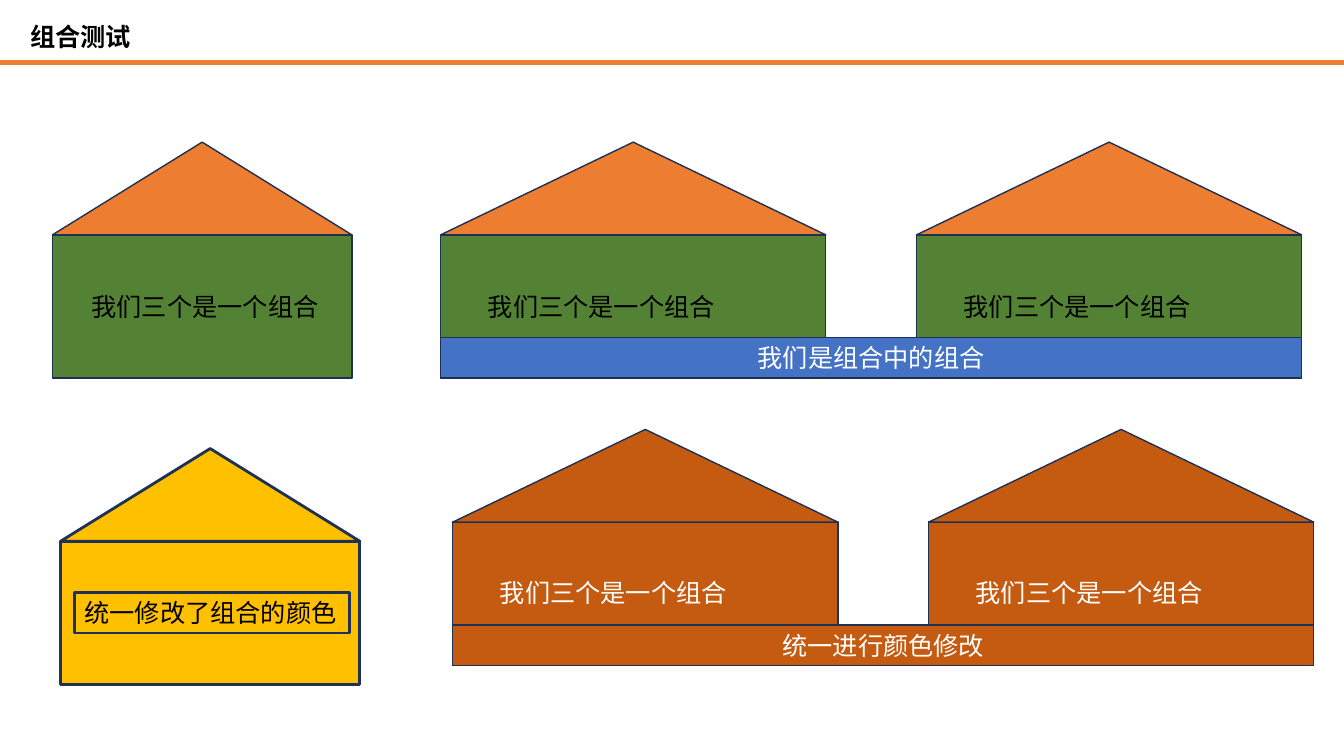
"""Build a slide of grouped houses, recoloured as whole groups."""
from dataclasses import dataclass
from typing import Any, Optional

from lxml import etree
from pptx import Presentation, util as u
from pptx.dml.color import RGBColor
from pptx.enum import shapes as es, text as et
from pptx.oxml import ns

BLACK = RGBColor(0x00, 0x00, 0x00)
WHITE = RGBColor(0xFF, 0xFF, 0xFF)
ORANGE = RGBColor(0xED, 0x7D, 0x31)
GREEN = RGBColor(0x54, 0x82, 0x35)
BLUE = RGBColor(0x44, 0x72, 0xC4)
YELLOW = RGBColor(0xFF, 0xC0, 0x00)
RUST = RGBColor(0xC5, 0x5A, 0x11)
NAVY = RGBColor(0x1D, 0x31, 0x55)
INK = RGBColor(0x1E, 0x32, 0x56)

FONT = "Noto Sans CJK SC"
TRIO = "我们三个是一个组合"
ROOF_H, WALL_H, BAR_H = 0.92, 1.42, 0.4
HOUSE_STEP = 4.72
LABEL_FRAME = {"word_wrap": False, "auto_size": et.MSO_AUTO_SIZE.SHAPE_TO_FIT_TEXT}
BAR_FRAME = {"word_wrap": True, "vertical_anchor": et.MSO_ANCHOR.MIDDLE}


@dataclass(frozen=True)
class Box:
    """Position and size in inches."""
    x: float
    y: float
    w: float
    h: float

    def lengths(self) -> list[u.Length]:
        """Return the four values as lengths."""
        return [u.Inches(v) for v in (self.x, self.y, self.w, self.h)]


@dataclass(frozen=True)
class Group:
    """One group: a house, or two houses on a shared bar."""
    x: float
    y: float
    w: float
    label: str
    label_dx: float
    label_dy: float
    label_w: float
    wall: RGBColor
    roof: RGBColor
    ink: RGBColor = BLACK
    label_fill: Optional[RGBColor] = None
    label_line: Optional[RGBColor] = None
    line: RGBColor = NAVY
    line_w: float = 1
    bar: str = ""
    bar_fill: Optional[RGBColor] = None


GROUPS = [
    Group(0.52, 1.41, 2.97, TRIO, 0.29, 1.43, 2.55, GREEN, ORANGE),
    Group(4.37, 1.41, 3.82, TRIO, 0.37, 1.43, 3.27, GREEN, ORANGE,
          bar="我们是组合中的组合", bar_fill=BLUE),
    Group(0.6, 4.45, 2.97, "统一修改了组合的颜色", 0.14, 1.43, 2.73, YELLOW, YELLOW,
          label_fill=YELLOW, label_line=INK, line=INK, line_w=2),
    Group(4.49, 4.26, 3.82, TRIO, 0.37, 1.42, 3.27, RUST, RUST, ink=WHITE,
          label_fill=RUST, bar="统一进行颜色修改", bar_fill=RUST),
]


def set_all(target: Any, values: dict[str, Any]) -> None:
    """Set each named attribute on the target."""
    for name, value in values.items():
        setattr(target, name, value)


def write(s: Any, text: str, color: RGBColor, frame: dict[str, Any],
          bold: Optional[bool] = None,
          align: et.PP_ALIGN = et.PP_ALIGN.LEFT) -> None:
    """Write one formatted line of text into a shape."""
    tf = s.text_frame
    set_all(tf, frame)
    p = tf.paragraphs[0]
    p.alignment = align
    r = p.add_run()
    r.text = text
    set_all(r.font, {"name": FONT, "size": u.Pt(18), "bold": bold})
    r.font.color.rgb = color
    ea = etree.SubElement(r.font._element, ns.qn("a:ea"))
    ea.set("typeface", FONT)


def outline(s: Any, color: RGBColor, width: float) -> None:
    """Give a shape or line its stroke."""
    s.line.color.rgb = color
    s.line.width = u.Pt(width)


def add_solid(parent: Any, kind: es.MSO_SHAPE, box: Box, fill: RGBColor,
              line: RGBColor, width: float) -> Any:
    """Add a filled and outlined preset shape."""
    s = parent.add_shape(kind, *box.lengths())
    s.shadow.inherit = False
    s.fill.solid()
    s.fill.fore_color.rgb = fill
    outline(s, line, width)
    return s


def add_house(parent: Any, g: Group, x: float) -> None:
    """Add wall, roof and label of one house."""
    wall = Box(x, g.y + ROOF_H, g.w, WALL_H)
    roof = Box(x, g.y, g.w, ROOF_H)
    add_solid(parent, es.MSO_SHAPE.RECTANGLE, wall, g.wall, g.line, g.line_w)
    add_solid(parent, es.MSO_SHAPE.ISOSCELES_TRIANGLE, roof, g.roof, g.line, g.line_w)
    box = Box(x + g.label_dx, g.y + g.label_dy, g.label_w, BAR_H)
    s = parent.add_textbox(*box.lengths())
    if g.label_fill is not None:
        s.fill.solid()
        s.fill.fore_color.rgb = g.label_fill
    if g.label_line is not None:
        outline(s, g.label_line, g.line_w)
    write(s, g.label, g.ink, LABEL_FRAME)


def add_group(parent: Any, g: Group) -> None:
    """Add a group with its houses and optional bar."""
    shapes = parent.add_group_shape().shapes
    add_house(shapes, g, g.x)
    if g.bar:
        add_house(shapes, g, g.x + HOUSE_STEP)
        box = Box(g.x, g.y + ROOF_H + WALL_H - BAR_H, HOUSE_STEP + g.w, BAR_H)
        s = add_solid(shapes, es.MSO_SHAPE.RECTANGLE, box, g.bar_fill, g.line, g.line_w)
        write(s, g.bar, WHITE, BAR_FRAME, align=et.PP_ALIGN.CENTER)


def add_header(parent: Any) -> None:
    """Add the title and the rule below it."""
    s = parent.add_textbox(*Box(0.2, 0.16, 1.21, 0.4).lengths())
    write(s, "组合测试", BLACK, LABEL_FRAME, bold=True)
    ends = [u.Inches(v) for v in (0, 0.62, 13.33, 0.62)]
    rule = parent.add_connector(es.MSO_CONNECTOR.STRAIGHT, *ends)
    outline(rule, ORANGE, 3)
    etree.SubElement(rule._element.spPr, ns.qn("a:effectLst"))


def main() -> None:
    """Build and save the slide."""
    prs = Presentation()
    set_all(prs, {"slide_width": u.Inches(13.33), "slide_height": u.Inches(7.5)})
    shapes = prs.slides.add_slide(prs.slide_layouts[6]).shapes
    add_header(shapes)
    for g in GROUPS:
        add_group(shapes, g)
    prs.save("out.pptx")


if __name__ == "__main__":
    main()
